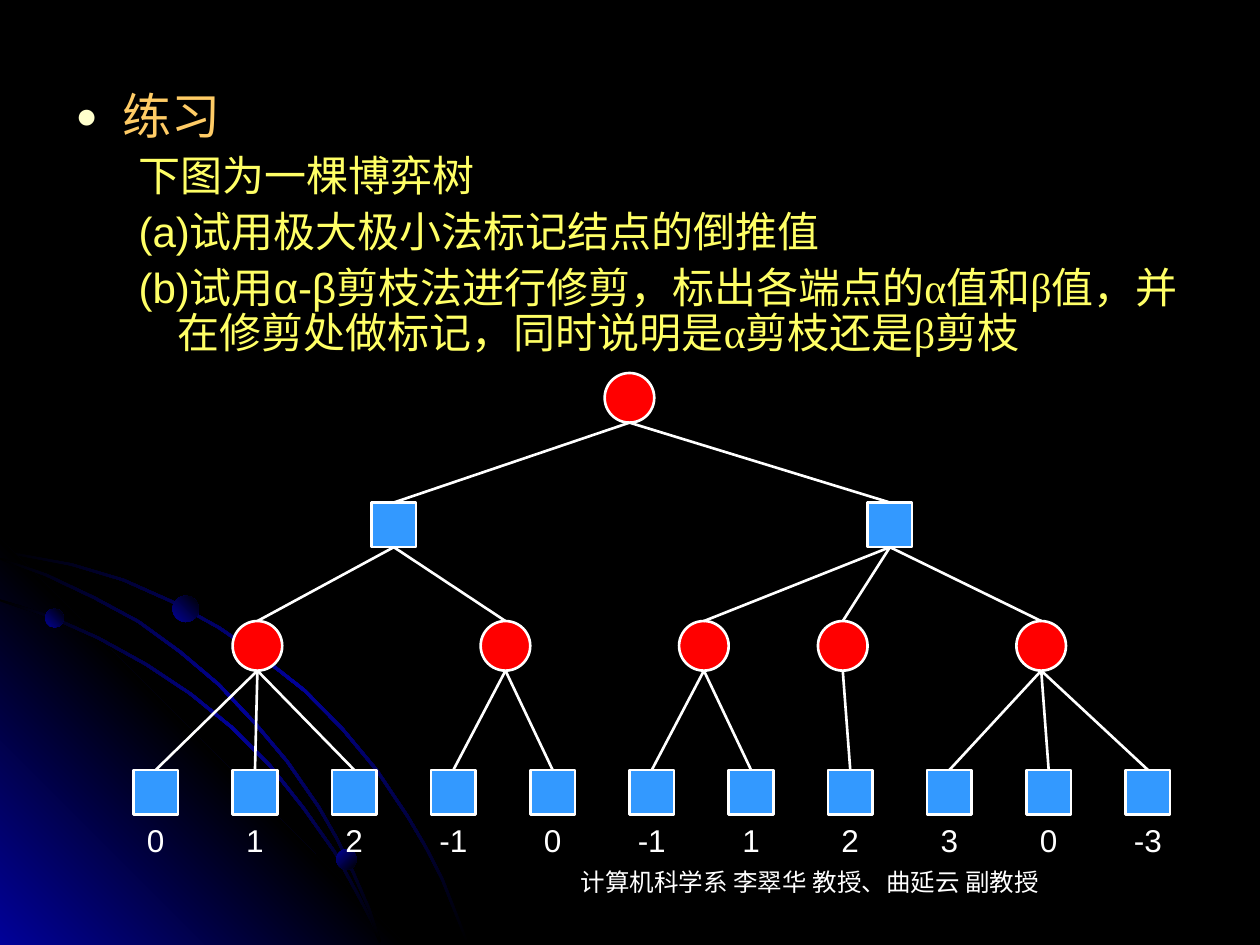
from collections import namedtuple
from copy import deepcopy
from itertools import count

from lxml.etree import SubElement
from pptx import Presentation
from pptx.dml.color import RGBColor
from pptx.enum.shapes import MSO_CONNECTOR as Link, MSO_SHAPE as Preset
from pptx.enum.text import MSO_AUTO_SIZE as AutoSize, PP_ALIGN as Align
from pptx.oxml.ns import qn
from pptx.util import Cm, Pt

Box = namedtuple("Box", "left top width height")

GREEK_FONT, MAIN_FONT = "Times New Roman", "Arial"
BLACK, NAVY, WHITE = "000000", "010199", "FFFFFF"
RED, BLUE, YELLOW, ORANGE = "FF0000", "3399FF", "FFFF66", "FFCC66"

ARCS = [
    [(0, 0.28), (1.42, 0.55), (2.46, 0.86), (3.43, 1.29), (4.39, 1.82),
     (5.28, 2.43), (6.12, 3.09), (6.88, 3.86), (7.57, 4.69), (8.2, 5.63),
     (8.56, 6.24), (8.89, 6.88), (9.14, 7.51), (9.4, 8.17)],
    [(0, 1.27), (0.99, 1.6), (1.96, 2.03), (2.92, 2.56), (3.81, 3.15),
     (4.65, 3.83), (5.41, 4.59), (6.1, 5.46), (6.73, 6.35), (7.24, 7.29),
     (7.47, 7.74), (7.65, 8.17)],
    [(0, 0.43), (0.91, 0.76), (1.88, 1.22), (2.77, 1.7), (3.61, 2.31),
     (4.39, 2.97), (5.13, 3.76), (5.77, 4.52), (6.4, 5.43), (6.78, 6.09),
     (7.11, 6.78), (7.42, 7.49), (7.65, 8.17)],
]
ORBS = [(0.91, 1.42, 0.38, 315), (6.78, 6.27, 0.41, 45), (3.48, 1.16, 0.53, 315)]

GAME_TREE = (9.55, [
    (4.8, [(2.05, [0, 1, 2]), (7.05, [-1, 0])]),
    (14.8, [(11.05, [-1, 1]), (13.85, [2]), (17.85, [3, 0, -3])]),
])
LEVEL_HEIGHTS = [0.5, 3.06, 5.5, 8.45]
LEAF_PITCH, SQUARE, CIRCLE = 2, 0.9, 1

EXERCISE = [
    [("下图为一棵博弈树", MAIN_FONT)],
    [("(a)试用极大极小法标记结点的倒推值", MAIN_FONT)],
    [("(b)试用α-β剪枝法进行修剪，标出各端点的", MAIN_FONT),
     ("α值和β值，并在修剪处做标记，同时说明是α剪枝还是β剪枝", GREEK_FONT)],
]


def rgb(color):
    return RGBColor.from_string(color)


def add_run(paragraph, text, font, size, color):
    run = paragraph.add_run()
    run.text = text
    run.font.name, run.font.size = font, Pt(size)
    run.font.color.rgb = rgb(color)


def fill_gradient(shape, colors, clockwise):
    shape.shadow.inherit = False
    shape.line.fill.background()
    shape.fill.gradient()
    shape.fill.gradient_angle = (360 - clockwise) % 360
    stop_list = shape._element.spPr.find(".//" + qn("a:gsLst"))
    for _ in colors[2:]:
        stop_list.append(deepcopy(stop_list[0]))
    for i, (stop, color) in enumerate(zip(shape.fill.gradient_stops, colors)):
        stop.position = i / (len(colors) - 1)
        stop.color.rgb = rgb(color)


def add_outline(slide, box, points):
    start, *rest = [(Cm(box.left + x), Cm(box.top + y)) for x, y in points]
    builder = slide.shapes.build_freeform(*start, scale=1)
    builder.add_line_segments(rest, close=True)
    return builder.convert_to_shape()


def draw_decoration(slide, box):
    def arc(points):
        upper = [(x + 0.04 if x else 0, y - 0.04) for x, y in reversed(points)]
        outline = add_outline(slide, box, points + upper)
        fill_gradient(outline, [BLACK, NAVY, BLACK], 45)

    glow = add_outline(slide, box, [(0, 0), (box.width, box.height), (0, box.height)])
    arc(ARCS[0])
    slide.shapes._spTree.append(glow._element)
    fill_gradient(glow, [NAVY, BLACK, NAVY], 315)
    for points in ARCS[1:]:
        arc(points)
    for x, y, size, angle in ORBS:
        orb = slide.shapes.add_shape(Preset.OVAL, Cm(box.left + x), Cm(box.top + y),
                                     Cm(size), Cm(size))
        fill_gradient(orb, [NAVY, BLACK], angle)


def format_paragraph(paragraph, margin, indent, before):
    props = paragraph._p.get_or_add_pPr()
    props.set("marL", str(Cm(margin)))
    props.set("indent", str(Cm(indent)))
    paragraph.line_spacing = 0.9
    paragraph.space_before = Pt(before)
    return props


def write_exercise(slide, box):
    body = slide.placeholders[1]
    body.left, body.top, body.width, body.height = map(Cm, box)
    frame = body.text_frame
    frame.auto_size = AutoSize.NONE
    heading = frame.paragraphs[0]
    props = format_paragraph(heading, 0.95, -0.95, 0)
    SubElement(SubElement(props, qn("a:buClr")), qn("a:srgbClr"), val="FFFFCC")
    SubElement(props, qn("a:buSzPct"), val="75000")
    SubElement(props, qn("a:buFont"), typeface=MAIN_FONT)
    SubElement(props, qn("a:buChar"), char="●")
    add_run(heading, "练习", MAIN_FONT, 28, ORANGE)
    for pieces in EXERCISE:
        line = frame.add_paragraph()
        line.level = 1
        SubElement(format_paragraph(line, 2.06, -0.79, 6), qn("a:buNone"))
        for text, font in pieces:
            add_run(line, text, font, 24, YELLOW)


def draw_game_tree(slide, box):
    leaf_numbers = count()
    leaves = []

    def draw_node(node, level=0):
        is_leaf = not isinstance(node, tuple)
        if is_leaf:
            x, children = SQUARE / 2 + LEAF_PITCH * next(leaf_numbers), []
            leaves.append((x, node))
        else:
            x, children = node[0] + SQUARE / 2, node[1]
        is_square = level % 2 == 1
        size = SQUARE if is_square else CIRCLE
        shape = slide.shapes.add_shape(
            Preset.RECTANGLE if is_square else Preset.OVAL,
            Cm(box.left + x - size / 2),
            Cm(box.top + LEVEL_HEIGHTS[level] - size / 2), Cm(size), Cm(size))
        shape.shadow.inherit = False
        shape.fill.solid()
        shape.fill.fore_color.rgb = rgb(BLUE if is_square else RED)
        shape.line.color.rgb = rgb(WHITE)
        shape.line.width = Pt(1.5)
        for child in children:
            branch_to(shape, draw_node(child, level + 1), is_square)
        return shape

    def branch_to(parent, child, parent_is_square):
        branch = slide.shapes.add_connector(
            Link.STRAIGHT, parent.left + parent.width // 2, parent.top + parent.height,
            child.left + child.width // 2, child.top)
        if parent_is_square:
            branch.begin_connect(parent, 2)
        branch.end_connect(child, 0)
        branch.line.color.rgb = rgb(WHITE)
        branch.line.width = Pt(1.5)
        SubElement(branch._element.spPr, qn("a:effectLst"))

    draw_node(GAME_TREE)
    values = slide.shapes.add_textbox(Cm(box.left), Cm(box.top + 8.9),
                                      Cm(box.width), Cm(1))
    frame = values.text_frame
    frame.word_wrap = True
    frame.margin_left = frame.margin_right = 0
    paragraph = frame.paragraphs[0]
    tabs = SubElement(paragraph._p.get_or_add_pPr(), qn("a:tabLst"))
    for x, _ in leaves:
        SubElement(tabs, qn("a:tab"), pos=str(Cm(x)), algn="ctr")
    text = "".join(f"\t{value}" for _, value in leaves)
    add_run(paragraph, text, MAIN_FONT, 18, WHITE)


def write_footer(slide, box):
    frame = slide.shapes.add_textbox(*map(Cm, box)).text_frame
    frame.word_wrap = True
    paragraph = frame.paragraphs[0]
    paragraph.alignment = Align.CENTER
    add_run(paragraph, "计算机科学系 李翠华 教授、曲延云 副教授", GREEK_FONT, 14, WHITE)


def main():
    deck = Presentation()
    deck.slide_width, deck.slide_height = Cm(25.4), Cm(19.05)
    slide = deck.slides.add_slide(deck.slide_layouts[1])
    slide.background.fill.solid()
    slide.background.fill.fore_color.rgb = rgb(BLACK)
    title = slide.shapes.title._element
    title.getparent().remove(title)
    draw_decoration(slide, Box(0, 10.85, 8.18, 8.2))
    write_footer(slide, Box(8.62, 17.35, 15.42, 1.27))
    write_exercise(slide, Box(1.27, 1.73, 22.86, 15.32))
    draw_game_tree(slide, Box(2.69, 7.52, 21.7, 9.9))
    deck.save("out.pptx")


if __name__ == "__main__":
    main()
